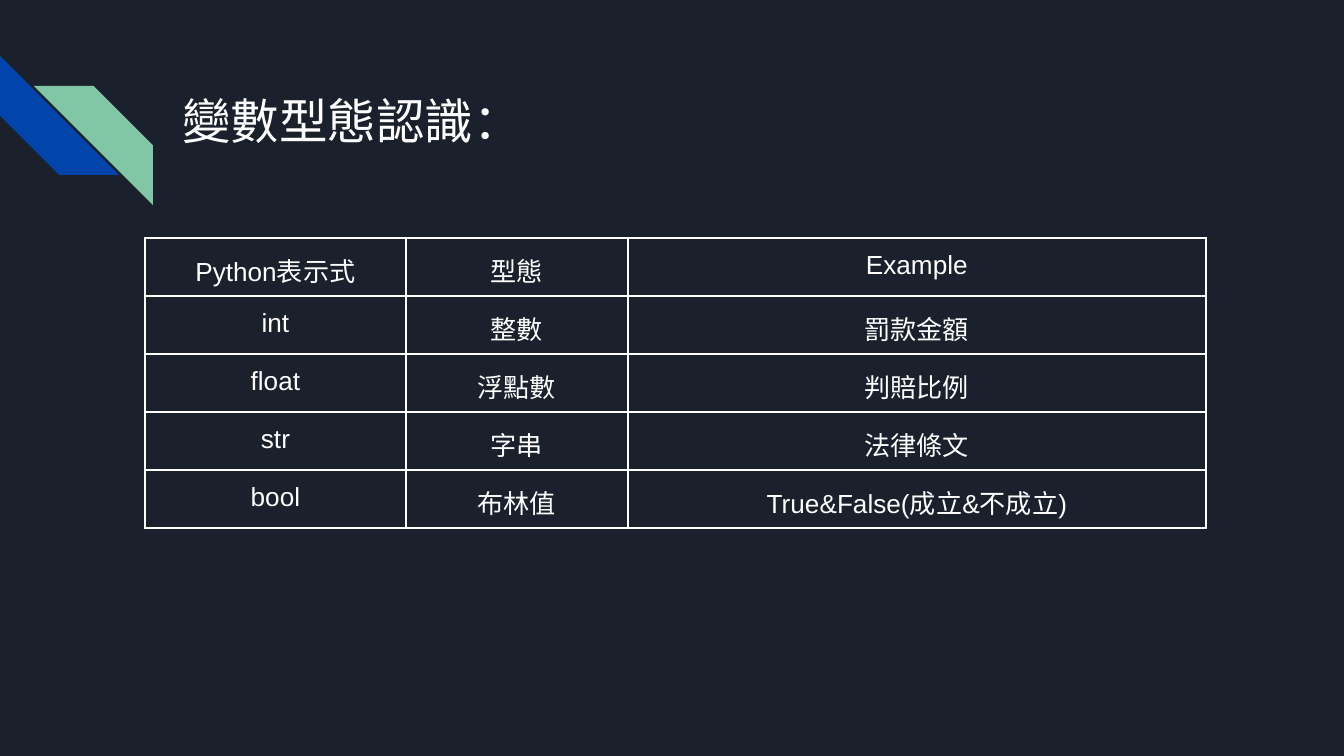
"""Build a dark slide with a title and a table of Python variable types."""
from lxml import etree
from pptx import Presentation
from pptx import util as u
from pptx.dml.color import RGBColor
from pptx.enum import shapes, text
from pptx.oxml.ns import qn

TITLE = "變數型態認識："
ROWS = [
    ("Python表示式", "型態", "Example"),
    ("int", "整數", "罰款金額"),
    ("float", "浮點數", "判賠比例"),
    ("str", "字串", "法律條文"),
    ("bool", "布林值", "True&False(成立&不成立)"),
]
COLS = [261, 222, 578]
ROW = 58
PAD = 13
STRIPES = [
    dict(left=0, top=56, fill="0145AC", turn=270),
    dict(left=34, top=86, fill="82C7A5", flip=True),
]
SIDE = 119
WHITE, DARK = "FFFFFF", "1B212C"


def px(n):
    return u.Emu(round(n * 914400 / 134.4))


def color(code):
    return RGBColor.from_string(code)


def write(frame, words, size=14, font="Arial", tint=WHITE, align=text.PP_ALIGN.LEFT):
    para = frame.paragraphs[0]
    para.alignment = align
    run = para.add_run()
    run.text = words
    run.font.size = u.Pt(size)
    run.font.name = font
    run.font.color.rgb = color(tint)


def pad(box):
    box.margin_left = box.margin_right = px(PAD)
    box.margin_top = box.margin_bottom = px(PAD)


def stripe(slide, left, top, fill, turn=0, flip=False):
    shape = slide.shapes.add_shape(
        shapes.MSO_SHAPE.DIAGONAL_STRIPE, px(left), px(top), px(SIDE), px(SIDE))
    shape.adjustments[0] = 0.5
    shape.shadow.inherit = False
    shape.fill.solid()
    shape.fill.fore_color.rgb = color(fill)
    shape.line.fill.background()
    shape.rotation = turn
    if flip:
        shape._element.spPr.xfrm.set("flipH", "1")


def border(cell):
    props = cell._tc.get_or_add_tcPr()
    for spot, side in enumerate(("lnL", "lnR", "lnT", "lnB")):
        line = etree.Element(qn("a:" + side), w=str(u.Pt(1.5)))
        fill = etree.SubElement(line, qn("a:solidFill"))
        etree.SubElement(fill, qn("a:srgbClr"), val=WHITE)
        props.insert(spot, line)


def grid(slide):
    table = slide.shapes.add_table(
        len(ROWS), len(COLS), px(145), px(238), px(sum(COLS)), px(ROW * len(ROWS))).table
    table.first_row = table.horz_banding = False
    for col, width in zip(table.columns, COLS):
        col.width = px(width)
    for row, items in zip(table.rows, ROWS):
        row.height = px(ROW)
        for cell, words in zip(row.cells, items):
            pad(cell)
            cell.fill.background()
            border(cell)
            write(cell.text_frame, words, align=text.PP_ALIGN.CENTER)


def main():
    deck = Presentation()
    deck.slide_width, deck.slide_height = px(1344), px(756)
    slide = deck.slides.add_slide(deck.slide_layouts[6])
    slide.background.fill.solid()
    slide.background.fill.fore_color.rgb = color(DARK)
    for item in STRIPES:
        stripe(slide, **item)
    frame = slide.shapes.add_textbox(px(169), px(79), px(390), px(82)).text_frame
    frame.word_wrap = True
    frame.vertical_anchor = text.MSO_ANCHOR.MIDDLE
    pad(frame)
    write(frame, TITLE, size=26, font="Montserrat")
    grid(slide)
    deck.save("out.pptx")


if __name__ == "__main__":
    main()
